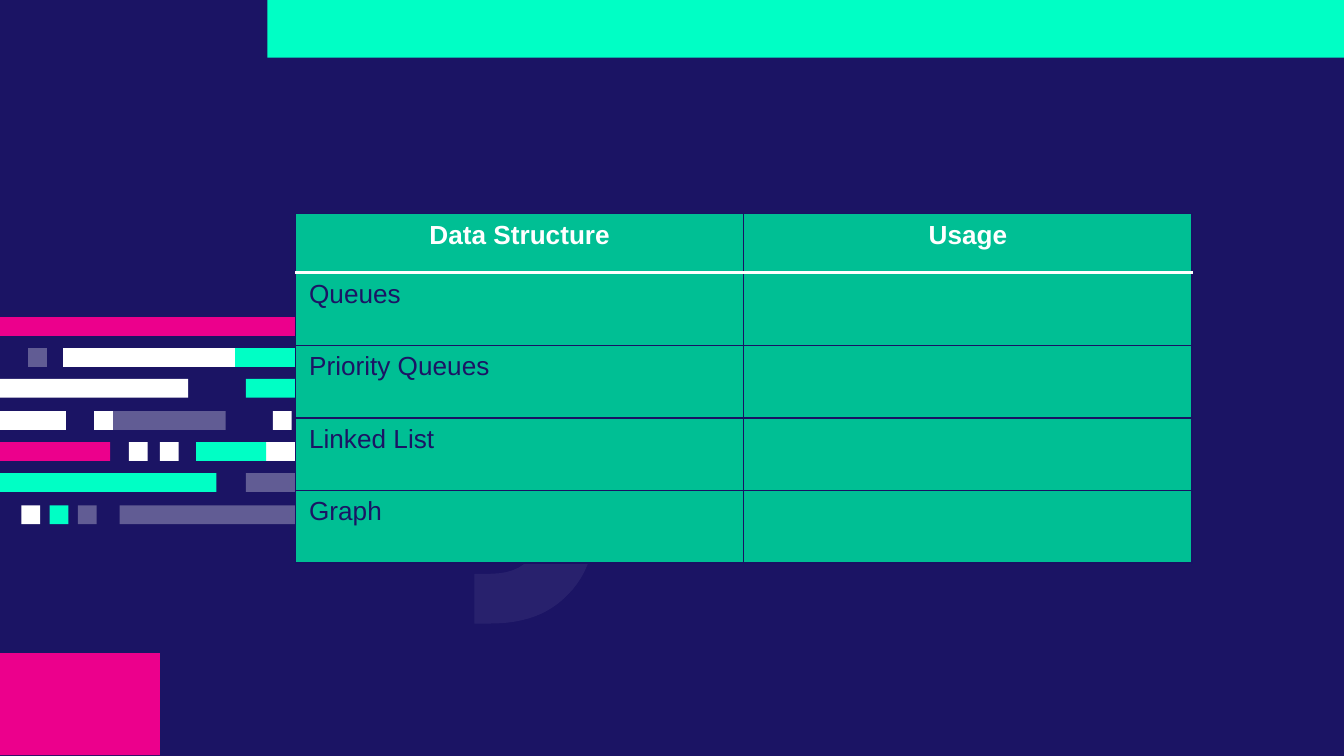
from lxml import etree
from pptx import Presentation
from pptx.dml.color import RGBColor
from pptx.enum.shapes import MSO_SHAPE
from pptx.enum.text import PP_ALIGN
from pptx.oxml.ns import qn
from pptx.util import Pt

PX = 9144  # EMU in one px, 100 px to the inch
RECT = MSO_SHAPE.RECTANGLE
LEFT, CENTER = PP_ALIGN.LEFT, PP_ALIGN.CENTER

NAVY = RGBColor(0x1B, 0x14, 0x64)
EDGE = RGBColor(0x19, 0x12, 0x64)
MINT = RGBColor(0x00, 0xFF, 0xC5)
GREEN = RGBColor(0x00, 0xBF, 0x94)
PINK = RGBColor(0xEC, 0x00, 0x8C)
WHITE = RGBColor(0xFF, 0xFF, 0xFF)

HEAD = {"size": Pt(14), "name": "Arial", "bold": True}
BODY = {"size": Pt(14), "name": "Arial", "bold": False}

# Code bars: (left, width, colour, opacity in percent), one list per row
BARS = [
    [(0, 231, PINK, 100), (231, 122, MINT, 100)],
    [(47, 180, WHITE, 100), (175, 52, MINT, 100), (292, 61, PINK, 100),
     (241, 14, WHITE, 31), (263, 14, WHITE, 100), (21, 14, WHITE, 31)],
    [(338, 14, WHITE, 100), (183, 144, MINT, 100), (0, 140, WHITE, 100)],
    [(225, 14, PINK, 100), (203, 14, WHITE, 100), (70, 14, WHITE, 100),
     (248, 105, WHITE, 13), (70, 98, WHITE, 31), (0, 49, WHITE, 100)],
    [(146, 180, WHITE, 100), (146, 52, MINT, 100), (0, 82, PINK, 100),
     (119, 14, WHITE, 100), (96, 14, WHITE, 100), (338, 14, WHITE, 31)],
    [(0, 161, MINT, 100), (183, 169, WHITE, 31)],
    [(58, 14, WHITE, 31), (37, 14, MINT, 100), (16, 14, WHITE, 100),
     (276, 77, PINK, 100), (89, 171, WHITE, 31)],
]

# Brace outline after its top left corner: lines hold 2 numbers, curves 6
BRACE = [
    (0, 38), (12, 38), (37, 39, 50, 52, 50, 78), (50, 102),
    (50, 130, 59, 146, 78, 151), (78, 153), (59, 158, 50, 174, 50, 201),
    (50, 226), (50, 252, 37, 266, 12, 266), (0, 266), (0, 303), (12, 303),
    (37, 303, 56, 296, 70, 281), (84, 267, 91, 246, 91, 220), (91, 197),
    (91, 189, 93, 182, 96, 177), (99, 173, 103, 170, 109, 170), (118, 170),
    (118, 133), (109, 133), (103, 133, 99, 131, 96, 126),
    (93, 121, 91, 115, 91, 106), (91, 84), (91, 57, 84, 37, 70, 23),
    (56, 8, 37, 1, 12, 0),
]

ROWS = [("Data Structure", "Usage"), ("Queues", ""), ("Priority Queues", ""),
        ("Linked List", ""), ("Graph", "")]


def paint(shape, color, alpha=100):
    shape.shadow.inherit = False
    shape.line.fill.background()
    shape.fill.solid()
    shape.fill.fore_color.rgb = color
    if alpha < 100:
        tint = next(shape._element.spPr.iter(qn("a:srgbClr")))
        etree.SubElement(tint, qn("a:alpha"), val=str(alpha * 1000))


def block(slide, box, color, alpha=100):
    paint(slide.shapes.add_shape(RECT, *(n * PX for n in box)), color, alpha)


def code(slide, left, top, width, height):
    """Seven evenly spaced rows of code bars."""
    thick = 14
    for i, row in enumerate(BARS):
        y = top + i * (height - thick) // (len(BARS) - 1)
        for x, wide, color, alpha in row:
            block(slide, (left + x, y, min(wide, width - x), thick), color, alpha)


def curve(start, bend, steps=12):
    """Points along a cubic curve."""
    ends = [start, bend[:2], bend[2:4], bend[4:]]
    for i in range(1, steps + 1):
        t = i / steps
        u = 1 - t
        weights = (u ** 3, 3 * u * u * t, 3 * u * t * t, t ** 3)
        yield tuple(sum(w * p[k] for w, p in zip(weights, ends)) for k in (0, 1))


def brace(slide, left, top):
    dots = [(0, 0)]
    for part in BRACE:
        dots += curve(dots[-1], part) if len(part) == 6 else [part]
    form = slide.shapes.build_freeform(0, 0, scale=1.0)
    form.add_line_segments([(x * PX, y * PX) for x, y in dots[1:]], close=True)
    paint(form.convert_to_shape(left * PX, top * PX), WHITE, 6)


def border(cell, side, color, width):
    line = etree.SubElement(cell._tc.get_or_add_tcPr(), qn("a:ln" + side),
                            w=str(Pt(width)))
    fill = etree.SubElement(line, qn("a:solidFill"))
    etree.SubElement(fill, qn("a:srgbClr"), val=str(color))


def grid(slide, left, top, width, head, step):
    """Table with a header row and equal body rows."""
    count = len(ROWS)
    high = head + step * (count - 1)
    frame = slide.shapes.add_table(count, 2, left * PX, top * PX,
                                   width * PX, high * PX)
    table = frame.table
    table.horz_banding = False
    for i, texts in enumerate(ROWS):
        table.rows[i].height = (step if i else head) * PX
        for j, text in enumerate(texts):
            cell = table.cell(i, j)
            for side in "LRTB":
                rule = (i, side) in ((0, "B"), (1, "T"))
                border(cell, side, *((WHITE, 2) if rule else (EDGE, 0.75)))
            cell.fill.solid()
            cell.fill.fore_color.rgb = GREEN
            if not text:
                continue
            para = cell.text_frame.paragraphs[0]
            para.alignment = LEFT if i else CENTER
            run = para.add_run()
            run.text = text
            for key, value in (BODY if i else HEAD).items():
                setattr(run.font, key, value)
            run.font.color.rgb = NAVY if i else WHITE


def main():
    deck = Presentation()
    deck.slide_width = 1000 * PX
    deck.slide_height = deck.slide_width * 9 // 16
    slide = deck.slides.add_slide(deck.slide_layouts[6])
    slide.background.fill.solid()
    slide.background.fill.fore_color.rgb = NAVY

    # Decoration
    block(slide, (199, 0, 801, 43), MINT)
    code(slide, 0, 236, 353, 154)
    brace(slide, 353, 161)
    block(slide, (0, 486, 119, 76), PINK)

    # Content
    grid(slide, 220, 159, 667, 44, 54)
    deck.save("out.pptx")


if __name__ == "__main__":
    main()
